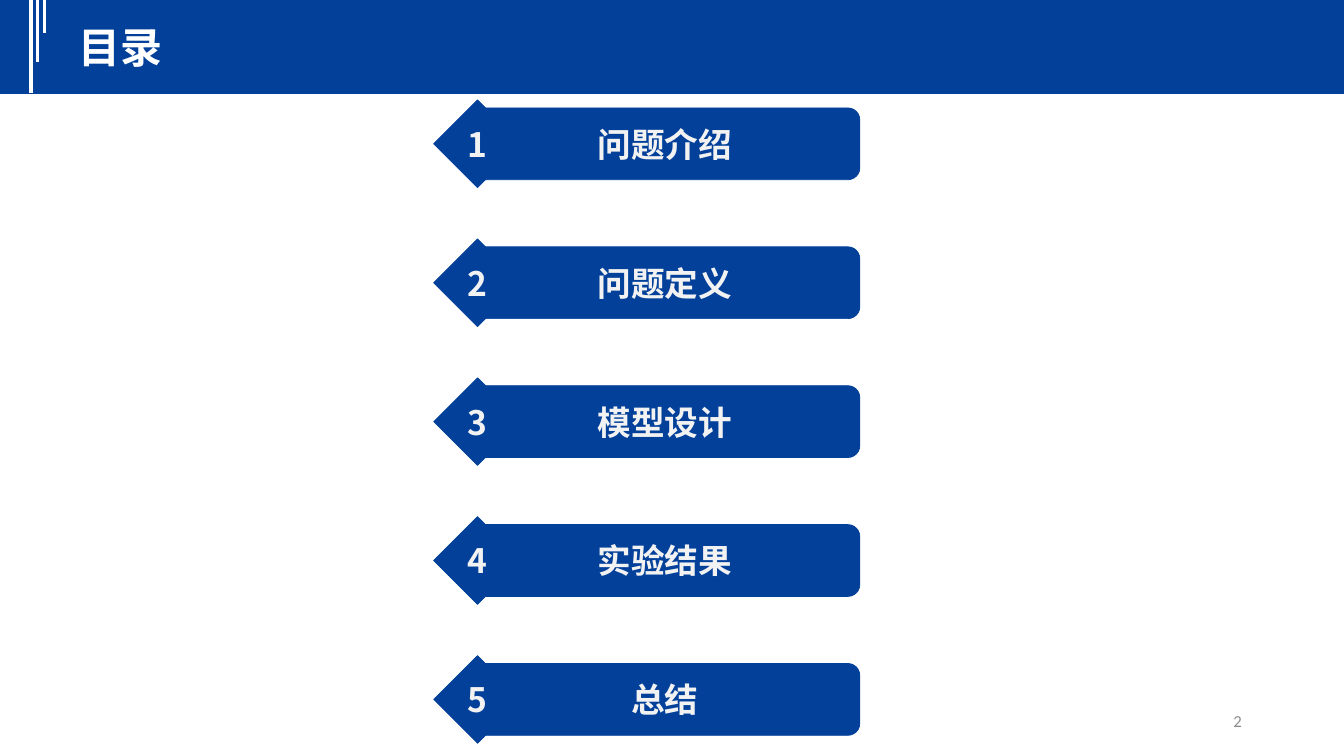
import pptx
import pptx.dml.color
import pptx.enum.shapes
import pptx.enum.text
import pptx.oxml.ns
import pptx.util
import lxml.etree

Cm = pptx.util.Cm
Pt = pptx.util.Pt
Color = pptx.dml.color.RGBColor
Kind = pptx.enum.shapes.MSO_SHAPE
Align = pptx.enum.text.PP_ALIGN
Anchor = pptx.enum.text.MSO_ANCHOR
Fit = pptx.enum.text.MSO_AUTO_SIZE
qn = pptx.oxml.ns.qn

BLUE = Color(0x02, 0x40, 0x9A)
WHITE = Color(0xFF, 0xFF, 0xFF)
PALE = Color(0xF2, 0xF2, 0xF2)
GRAY = Color(0x8C, 0x8C, 0x8C)
HAN = "Noto Sans CJK SC"
LATIN = "Calibri"
TOPICS = ["问题介绍", "问题定义", "模型设计", "实验结果", "总结"]


def write(shape, text, size=24, font=HAN, color=PALE, bold=True,
          align=Align.CENTER, anchor=Anchor.MIDDLE, wrap=False, fit=None):
    frame = shape.text_frame
    frame.word_wrap = wrap
    frame.vertical_anchor = anchor
    if fit is not None:
        frame.auto_size = fit
    para = frame.paragraphs[0]
    para.alignment = align
    run = para.add_run()
    run.text = text
    run.font.size = Pt(size)
    run.font.bold = bold
    run.font.name = font
    run.font.color.rgb = color
    east = lxml.etree.SubElement(run.font._element, qn("a:ea"))
    east.set("typeface", HAN)


def block(shapes, kind, left, top, width, height, edge=True):
    shape = shapes.add_shape(kind, Cm(left), Cm(top), Cm(width), Cm(height))
    shape.shadow.inherit = False
    shape.fill.solid()
    shape.fill.fore_color.rgb = BLUE
    if edge:
        shape.line.color.rgb = BLUE
        shape.line.width = Pt(0.5)
    else:
        shape.line.fill.background()
    return shape


def stripe(shapes, left, top, length):
    line = shapes.add_connector(pptx.enum.shapes.MSO_CONNECTOR.STRAIGHT,
                                Cm(left), Cm(top), Cm(left), Cm(top + length))
    line.line.color.rgb = WHITE
    line.line.width = Pt(2.25)
    lxml.etree.SubElement(line._element.spPr, qn("a:effectLst"))


def header(shapes, left, top, width, height):
    block(shapes, Kind.RECTANGLE, left, top, width, height, edge=False)
    for index, length in enumerate([2.34, 1.55, 0.84]):
        stripe(shapes, left + 0.78 + 0.175 * index, top, length)
    title = shapes.add_textbox(Cm(left + 1.73), Cm(top + 0.41), Cm(5.41), Cm(1.55))
    write(title, "目录", size=30, color=WHITE, align=Align.LEFT,
          anchor=Anchor.TOP, wrap=True, fit=Fit.SHAPE_TO_FIT_TEXT)


def entry(shapes, number, topic, left, top, width, height):
    group = shapes.add_group_shape().shapes
    inset = 0.2
    start = 0.91
    bar = block(group, Kind.ROUNDED_RECTANGLE, left + start, top + inset,
                width - start, height - 2 * inset)
    write(bar, topic, font=LATIN)
    badge = block(group, Kind.DIAMOND, left, top, height, height)
    write(badge, str(number))


def agenda(shapes, left, top, width, height, pitch):
    for index, topic in enumerate(TOPICS):
        entry(shapes, index + 1, topic, left, top + index * pitch, width, height)


def footer(shapes, left, top, width, height):
    box = shapes.add_textbox(Cm(left), Cm(top), Cm(width), Cm(height))
    write(box, "2", size=12, font=LATIN, color=GRAY, bold=False,
          align=Align.RIGHT, wrap=True)


def main():
    deck = pptx.Presentation()
    deck.slide_width = Cm(33.87)
    deck.slide_height = Cm(19.05)
    shapes = deck.slides.add_slide(deck.slide_layouts[6]).shapes
    header(shapes, 0, 0, 33.87, 2.37)
    agenda(shapes, 10.93, 2.52, 10.74, 2.21, 3.5)
    footer(shapes, 23.93, 17.65, 7.62, 1.02)
    deck.save("out.pptx")


if __name__ == "__main__":
    main()
